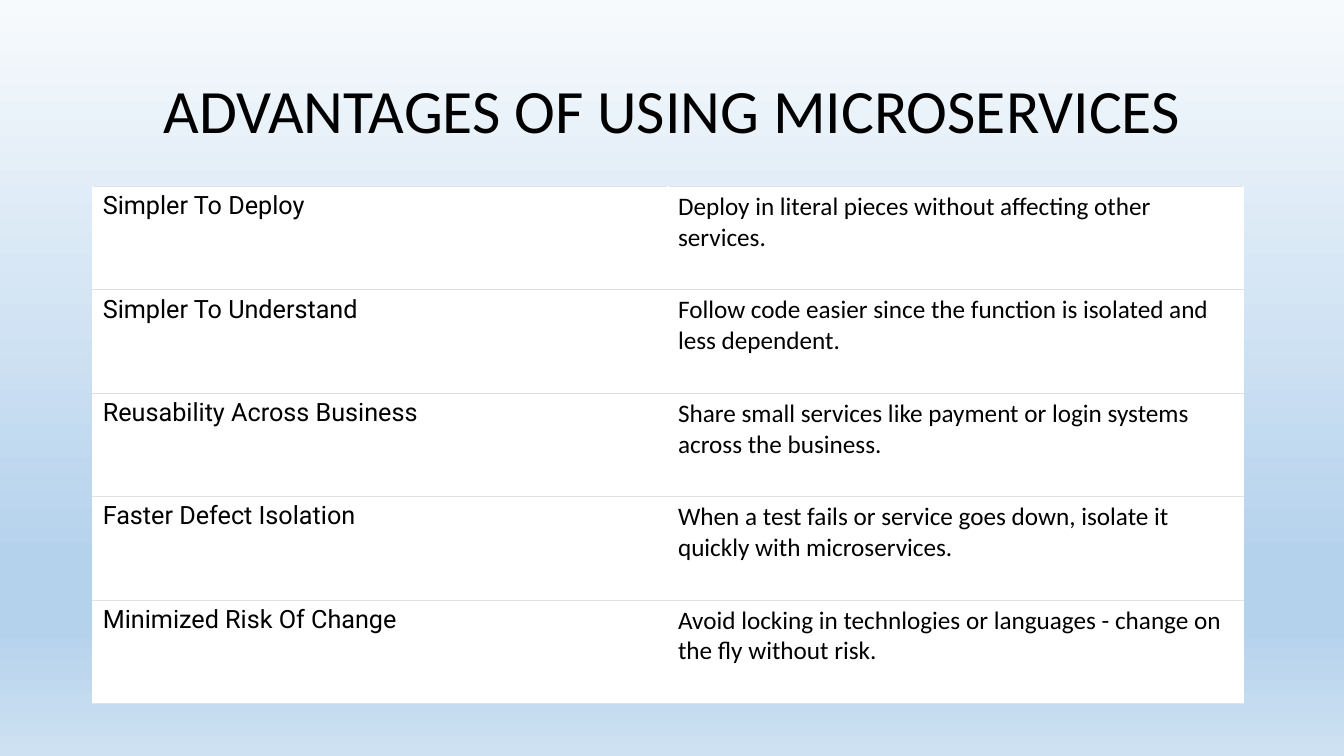
"""Build the slide on the advantages of using microservices."""
from dataclasses import dataclass

from lxml import etree
from pptx import Presentation
from pptx import util as u
from pptx.dml import color
from pptx.enum import text
from pptx.oxml import ns

BLACK, WHITE, RULE = "000000", "FFFFFF", "DEE2E6"
LEFT, TABLE_TOP = 66.24, 133.2
COLUMN_W, ROW_H = 410.9, 73.87
BACKGROUND = ((0, "F7FAFD"), (74, "B5D2EC"), (83, "B5D2EC"), (100, "CEE1F2"))


@dataclass
class Advantage:
    name: str
    detail: str


ADVANTAGES = [
    Advantage("Simpler To Deploy",
              "Deploy in literal pieces without affecting other services."),
    Advantage("Simpler To Understand",
              "Follow code easier since the function is isolated and less dependent."),
    Advantage("Reusability Across Business",
              "Share small services like payment or login systems across the business."),
    Advantage("Faster Defect Isolation",
              "When a test fails or service goes down, isolate it quickly with microservices."),
    Advantage("Minimized Risk Of Change",
              "Avoid locking in technlogies or languages - change on the fly without risk."),
]


def rgb(value: str) -> color.RGBColor:
    return color.RGBColor.from_string(value)


def add_run(p, wording: str, font: str, size: float) -> None:
    r = p.add_run()
    r.text = wording
    r.font.name = font
    r.font.size = u.Pt(size)
    r.font.color.rgb = rgb(BLACK)


def add_color(parent, value: str) -> None:
    etree.SubElement(parent, ns.qn("a:srgbClr"), val=value)


def paint_background(s) -> None:
    s.background.fill.gradient()
    grad = next(s.element.iter(ns.qn("a:gradFill")))
    for child in list(grad):
        grad.remove(child)
    stops = etree.SubElement(grad, ns.qn("a:gsLst"))
    for percent, value in BACKGROUND:
        add_color(etree.SubElement(stops, ns.qn("a:gs"), pos=str(percent * 1000)), value)
    etree.SubElement(grad, ns.qn("a:lin"), ang="5400000", scaled="0")


def add_title(s, wording: str) -> None:
    sp = s.shapes.title
    sp.left, sp.top, sp.width, sp.height = map(u.Pt, (LEFT, 28.8, 828, 104.4))
    tf = sp.text_frame
    tf.word_wrap = True
    tf.auto_size = text.MSO_AUTO_SIZE.NONE
    tf.vertical_anchor = text.MSO_ANCHOR.MIDDLE
    p = tf.paragraphs[0]
    p.alignment = text.PP_ALIGN.CENTER
    p.line_spacing = 0.9
    add_run(p, wording, "Calibri", 44)


def rule_cell(cell) -> None:
    props = cell._tc.get_or_add_tcPr()
    for index, side in enumerate(("a:lnT", "a:lnB")):
        line = etree.Element(ns.qn(side), w=str(u.Pt(0.75)))
        add_color(etree.SubElement(line, ns.qn("a:solidFill")), RULE)
        props.insert(index, line)


def add_advantages(s, advantages: list[Advantage]) -> None:
    table = s.shapes.add_table(
        len(advantages), 2, u.Pt(LEFT), u.Pt(TABLE_TOP),
        u.Pt(2 * COLUMN_W), u.Pt(len(advantages) * ROW_H)).table
    table.first_row = table.horz_banding = False
    for row, advantage in zip(table.rows, advantages):
        row.height = u.Pt(ROW_H)
        columns = ((advantage.name, "Roboto"), (advantage.detail, "Calibri"))
        for cell, (wording, font) in zip(row.cells, columns):
            cell.fill.solid()
            cell.fill.fore_color.rgb = rgb(WHITE)
            rule_cell(cell)
            add_run(cell.text_frame.paragraphs[0], wording, font, 18)


def main() -> None:
    prs = Presentation()
    prs.slide_width, prs.slide_height = u.Pt(960), u.Pt(540)
    s = prs.slides.add_slide(prs.slide_layouts.get_by_name("Title Only"))
    paint_background(s)
    add_title(s, "ADVANTAGES OF USING MICROSERVICES")
    add_advantages(s, ADVANTAGES)
    prs.save("out.pptx")


if __name__ == "__main__":
    main()
